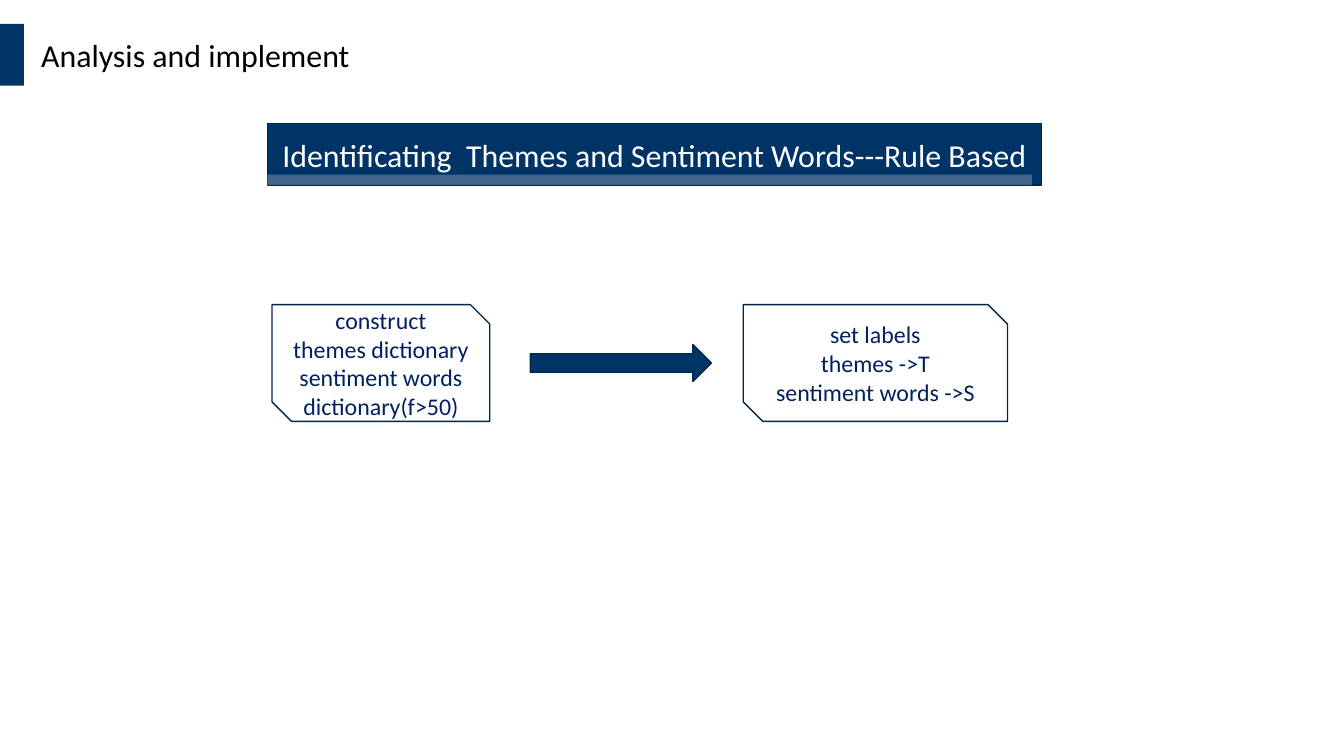
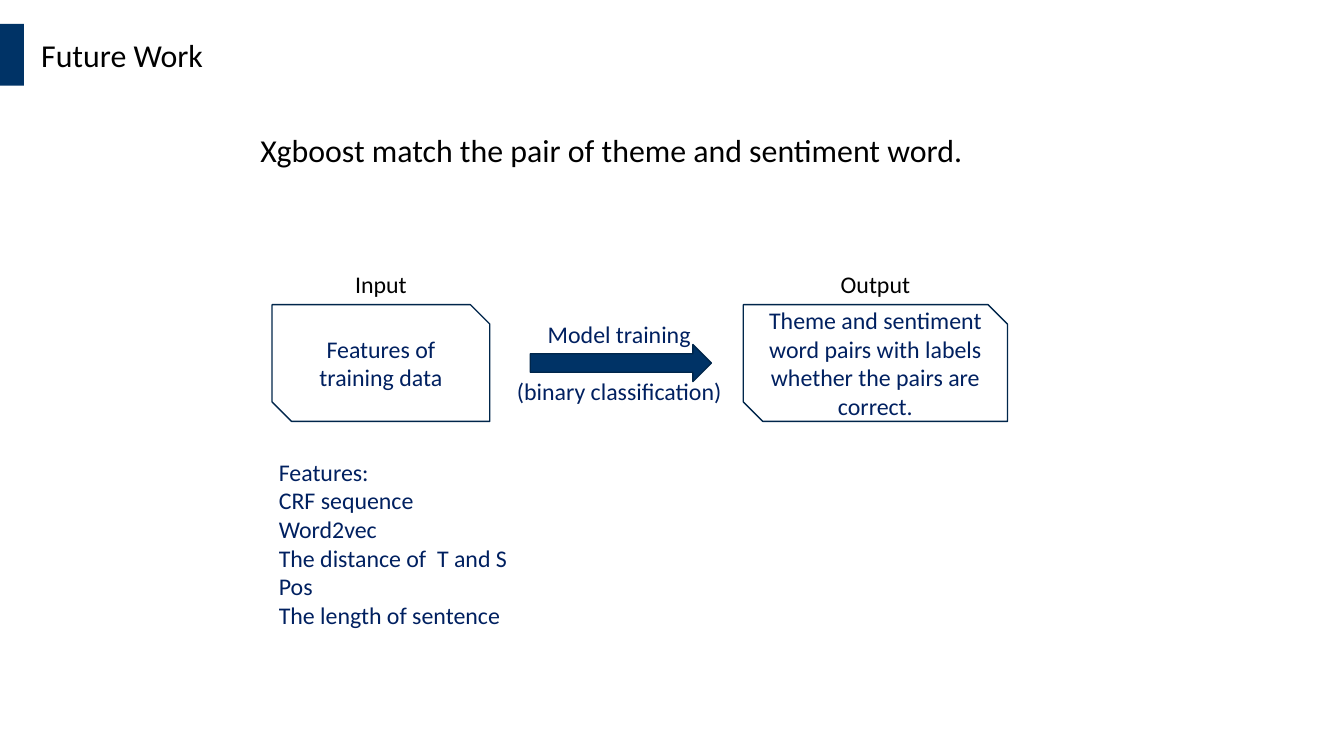
import pptx
import pptx.util
import pptx.dml.color
import pptx.enum.shapes
import pptx.enum.text
import pptx.oxml
import pptx.oxml.ns
import lxml.etree

Pt = pptx.util.Pt
Kind = pptx.enum.shapes.MSO_SHAPE
Align = pptx.enum.text.PP_ALIGN
Anchor = pptx.enum.text.MSO_ANCHOR
Fit = pptx.enum.text.MSO_AUTO_SIZE

HUES = {"navy": "003366", "edge": "00264B", "ink": "002060",
        "black": "000000", "white": "FFFFFF"}
FACE = "Calibri"
BIG, BODY = 24, 18
TOP, HIGH = 229.5, 88
LEFT = (205, 164)
RIGHT = (560, 199)


class Deck:
    """Hold the style and the current slide."""

    def __init__(self):
        self.prs = pptx.Presentation()
        self.prs.slide_width = Pt(1012.5)
        self.prs.slide_height = Pt(569.5)

    def hue(self, name):
        return pptx.dml.color.RGBColor.from_string(HUES[name])

    def style(self, frame, lines, size, hue, align, gap=0):
        frame.word_wrap = True
        frame.text = "\n".join(lines)
        for i, para in enumerate(frame.paragraphs):
            para.alignment = align
            para.space_before = Pt(gap if i else 0)
            para.font.name = FACE
            para.font.size = Pt(size)
            para.font.bold = False
            para.font.color.rgb = self.hue(hue)

    def start(self, title):
        self.slide = self.prs.slides.add_slide(self.prs.slide_layouts[5])
        head = self.slide.shapes.title
        head.left, head.top, head.width, head.height = map(Pt, (31, 26.5, 283, 29))
        frame = head.text_frame
        frame.margin_left = frame.margin_right = 0
        frame.margin_top = frame.margin_bottom = 0
        frame.vertical_anchor = Anchor.TOP
        self.style(frame, [title], BIG, "black", Align.LEFT)
        frame.auto_size = Fit.NONE
        self.shape(Kind.RECTANGLE, 0, 18, 18, 46.5, "navy")

    def shape(self, kind, x, y, w, h, fill=None, edge=None):
        item = self.slide.shapes.add_shape(kind, Pt(x), Pt(y), Pt(w), Pt(h))
        item.shadow.inherit = False
        if fill:
            item.fill.solid()
            item.fill.fore_color.rgb = self.hue(fill)
        else:
            item.fill.background()
        if edge:
            item.line.color.rgb = self.hue(edge)
            item.line.width = Pt(1)
        else:
            item.line.fill.background()
        return item

    def banner(self, text):
        x, y, w, h = 201.5, 93, 583, 46.5
        bar = self.shape(Kind.RECTANGLE, x, y, w, h, "navy", "edge")
        bar.text_frame.vertical_anchor = Anchor.MIDDLE
        self.style(bar.text_frame, [text], BIG, "white", Align.CENTER)
        strip = self.shape(Kind.RECTANGLE, x, y + h - 8, w - 7, 8, "white")
        tint = strip.element.spPr.find(".//" + pptx.oxml.ns.qn("a:srgbClr"))
        lxml.etree.SubElement(tint, pptx.oxml.ns.qn("a:alpha"), val="25000")

    def box(self, span, *lines):
        x, w = span
        item = self.shape(Kind.SNIP_2_DIAG_RECTANGLE, x, TOP, w, HIGH, None, "edge")
        item.text_frame.vertical_anchor = Anchor.MIDDLE
        self.style(item.text_frame, lines, BODY, "ink", Align.CENTER)

    def arrow(self):
        self.shape(Kind.RIGHT_ARROW, 399.5, 259.5, 136.5, 28, "navy", "edge")

    def text(self, x, y, w, h, lines, size=BODY, hue="ink", align=Align.LEFT, gap=0):
        item = self.slide.shapes.add_textbox(Pt(x), Pt(y), Pt(w), Pt(h))
        self.style(item.text_frame, lines, size, hue, align, gap)

    def label(self, span, text):
        x, w = span
        self.text(x, 199.5, w, 29, [text], hue="black", align=Align.CENTER)


def main():
    deck = Deck()

    deck.start("Analysis and implement")
    deck.banner("Identificating  Themes and Sentiment Words---Rule Based")
    deck.box(LEFT, "construct", "themes dictionary", "sentiment words dictionary(f>50)")
    deck.box(RIGHT, "set labels", "themes ->T", "sentiment words ->S")
    deck.arrow()

    deck.start("Future Work")
    deck.text(189, 95, 557, 36, ["Xgboost match the pair of theme and sentiment word."],
              BIG, "black")
    deck.box(LEFT, "Features of training data")
    deck.arrow()
    deck.box(RIGHT, "Theme and sentiment word pairs with labels whether the pairs are correct.")
    deck.label(LEFT, "Input")
    deck.label(RIGHT, "Output")
    deck.text(203, 341, 197, 138, ["Features:", "CRF sequence", "Word2vec",
                                   "The distance of  T and S", "Pos",
                                   "The length of sentence"])
    deck.text(368, 237, 197, 73, ["Model training", "(binary classification)"],
              align=Align.CENTER, gap=21.5)

    deck.prs.save("out.pptx")


if __name__ == "__main__":
    main()
